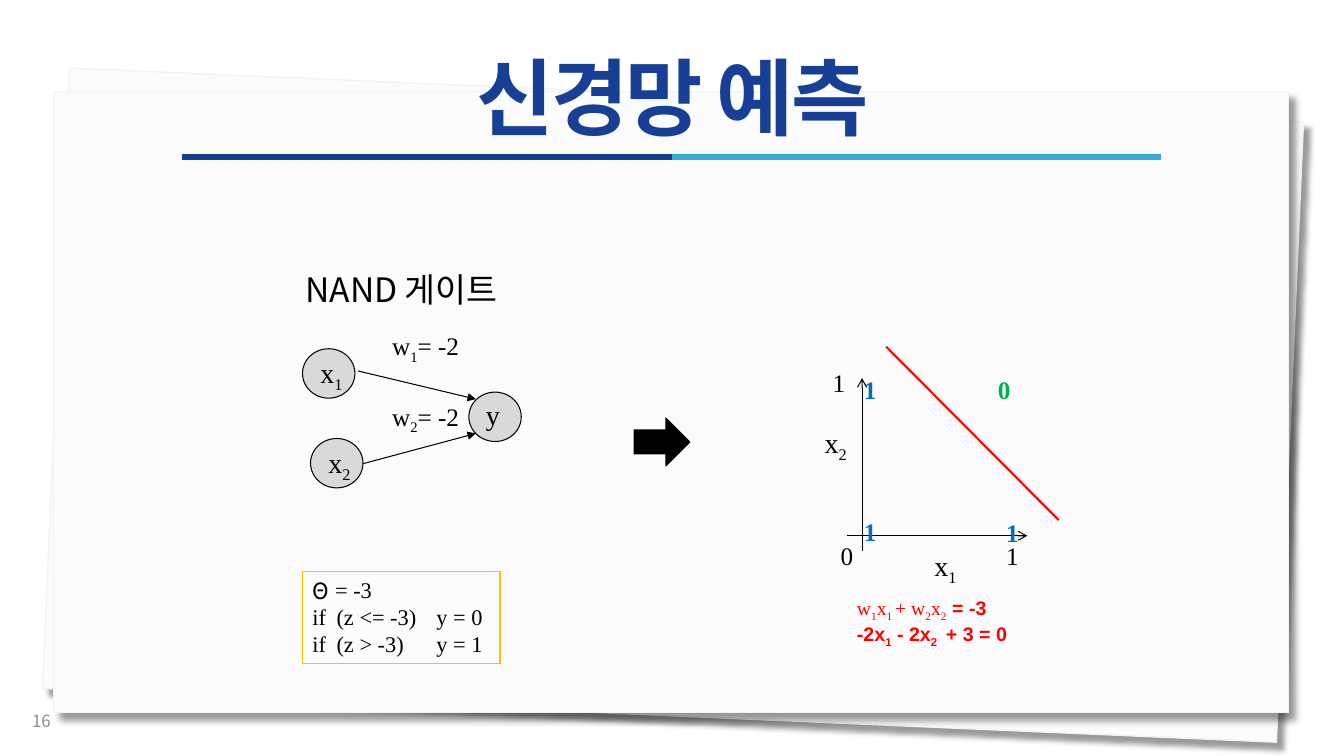
"""Build the slide on neural network prediction with a NAND gate."""
from lxml import etree
from pptx import Presentation, util as u
from pptx.dml.color import RGBColor
from pptx.enum import shapes, text
from pptx.oxml.ns import qn

rgb = RGBColor.from_string
CELL = u.Inches(0.1)
SERIF, SANS, KOREAN = "Times New Roman", "Arial", "Noto Sans CJK KR"
BLACK, RED, BLUE, GREEN = "000000", "FF0000", "0070C0", "00B050"


def write(p, words, color=BLACK, **fmt):
    """Add words to a paragraph; every second part between bars is a subscript."""
    for i, part in enumerate(words.split("|")):
        if not part:
            continue
        r = p.add_run()
        r.text = part
        for key, value in fmt.items():
            setattr(r.font, key, value)
        r.font.color.rgb = rgb(color)
        rPr = r._r.get_or_add_rPr()
        etree.SubElement(rPr, qn("a:ea"), typeface=fmt["name"])
        if i % 2:
            rPr.set("baseline", "-25000")


def add(parent, kind, at, fill=None, line=None, width=0.75, head=None):
    """Add a line, text box or preset shape at a place given in grid cells."""
    at = [round(v * CELL) for v in at]
    if kind == "line":
        sp = parent.add_connector(shapes.MSO_CONNECTOR.STRAIGHT, *at)
        etree.SubElement(sp._element.spPr, qn("a:effectLst"))
    elif kind == "text":
        sp = parent.add_textbox(*at)
        sp.text_frame.word_wrap = True
        return sp
    else:
        sp = parent.add_shape(kind, *at)
        sp.shadow.inherit = False
        if fill:
            sp.fill.solid()
            sp.fill.fore_color.rgb = rgb(fill)
        else:
            sp.fill.background()
    sp.line.color.rgb = rgb(line)
    sp.line.width = u.Pt(width)
    if head:
        etree.SubElement(sp.line._get_or_add_ln(), qn("a:tailEnd"), type=head)
    return sp


prs = Presentation()
prs.slide_width, prs.slide_height = u.Inches(13.33), u.Inches(7.5)
s = prs.slides.add_slide(prs.slide_layouts[5])
rect = shapes.MSO_SHAPE.RECTANGLE

cards = s.shapes.add_group_shape().shapes
for x, y, turn in ((5.5, 9.4, 2.5), (5.3, 9.1, 0)):
    sp = add(cards, rect, (x, y, 122.5, 61.6), "FBFBFB", "F2F2F2", 1)
    sp.rotation = turn
    effects = sp._element.spPr.find(qn("a:effectLst"))
    shadow = etree.SubElement(effects, qn("a:outerShdw"), blurRad=str(u.Pt(4)),
                              dist=str(u.Pt(7)), dir="2700000", algn="tl", rotWithShape="0")
    tint = etree.SubElement(shadow, qn("a:srgbClr"), val=BLACK)
    etree.SubElement(tint, qn("a:alpha"), val="40000")

rule = s.shapes.add_group_shape().shapes
for x1, x2, color in ((18.1, 66.7, "163E94"), (66.7, 115.2, "36AAD9")):
    add(rule, "line", (x1, 15.6, x2, 15.6), line=color, width=4.5)

title = s.shapes.title
s.shapes._spTree.append(title._element)
title.left, title.top, title.width, title.height = [
    round(v * CELL) for v in (0, 5.6, 133.4, 9)]
tf = title.text_frame
tf.auto_size = text.MSO_AUTO_SIZE.NONE
tf.vertical_anchor = text.MSO_ANCHOR.MIDDLE
p = tf.paragraphs[0]
p.alignment, p.line_spacing = text.PP_ALIGN.CENTER, 0.9
write(p, "신경망 예측", "173F95", name=KOREAN, size=u.Pt(60), bold=True)
p.runs[0]._r.get_or_add_rPr().set("spc", "-190")

tf = add(s.shapes, "text", (2.2, 69.5, 30, 4)).text_frame
tf.vertical_anchor = text.MSO_ANCHOR.MIDDLE
write(tf.paragraphs[0], "16", "8C8C8C", name=KOREAN, size=u.Pt(12))

network = s.shapes.add_group_shape().shapes
plot = s.shapes.add_group_shape().shapes
for x, y in ((30, 34.6), (46.5, 38.9), (30.8, 43.5)):
    add(network, shapes.MSO_SHAPE.OVAL, (x, y, 5.2, 4.9), "D9D9D9", BLACK)
for parent, ends, color, width, head in (
        (network, (35.5, 36.8, 47.2, 39.6), BLACK, 0.75, "triangle"),
        (network, (36, 46, 47.2, 43), BLACK, 0.75, "triangle"),
        (plot, (84, 53.15, 101.9, 53.15), BLACK, 0.75, "arrow"),
        (plot, (85.5, 54.7, 85.5, 37.5), BLACK, 0.75, "arrow"),
        (plot, (87.9, 34.4, 105, 51.6), RED, 1.5, None)):
    add(parent, "line", ends, line=color, width=width, head=head)

for parent, x, y, w, words, size, color in (
        (network, 30.8, 34.8, 4.7, "x|1|", 20, BLACK),
        (network, 31.6, 43.7, 4.7, "x|2|", 20, BLACK),
        (network, 47.2, 38.9, 4.7, "y", 20, BLACK),
        (network, 37.9, 32.3, 9.4, "w|1|= -2", 18, BLACK),
        (network, 37.9, 39.3, 9.4, "w|2|= -2", 18, BLACK),
        (plot, 91.7, 53.9, 4.7, "x|1|", 20, BLACK),
        (plot, 80.8, 41.7, 4.7, "x|2|", 20, BLACK),
        (plot, 81.6, 35.9, 4.7, "1", 18, BLACK),
        (plot, 82.4, 53.1, 4.7, "0", 18, BLACK),
        (plot, 98.8, 53.1, 4.7, "1", 18, BLACK),
        (plot, 84.7, 50.7, 4.7, "1", 18, BLUE),
        (plot, 98.8, 50.8, 4.7, "1", 18, BLUE),
        (plot, 84.7, 36.6, 4.7, "1", 18, BLUE),
        (plot, 98, 36.6, 4.7, "0", 18, GREEN)):
    tf = add(parent, "text", (x, y, w, 4)).text_frame
    write(tf.paragraphs[0], words, color, name=SERIF, size=u.Pt(size), bold=color != BLACK)

tf = add(plot, "text", (84, 58.6, 28.9, 5.7)).text_frame
p = tf.paragraphs[0]
write(p, "w|1|x|1 |+ w|2|x|2|", RED, name=SERIF, size=u.Pt(14))
strong = dict(name=SANS, size=u.Pt(14), bold=True)
write(p, " = -3", RED, **strong)
write(tf.add_paragraph(), "-2x|1| - 2x|2 | + 3 = 0", RED, **strong)

add(s.shapes, shapes.MSO_SHAPE.RIGHT_ARROW, (62.9, 41.5, 5.5, 4.7), BLACK, BLACK, 1)

tf = add(s.shapes, rect, (30, 56.7, 19.6, 9.1), line="FFC000").text_frame
tf.word_wrap = False
tf.vertical_anchor = text.MSO_ANCHOR.TOP
for i, words in enumerate((" = -3", "if\t(z <= -3)\ty = 0", "if\t(z > -3)\ty = 1")):
    p = tf.add_paragraph() if i else tf.paragraphs[0]
    p.alignment = text.PP_ALIGN.LEFT
    write(p, words, name=SERIF, size=u.Pt(16))
    pPr = p._p.get_or_add_pPr()
    if i:
        tabs = etree.SubElement(pPr, qn("a:tabLst"))
        for stop in (2.4, 12.3):
            etree.SubElement(tabs, qn("a:tab"), pos=str(round(stop * CELL)), algn="l")
    else:
        indent = round(1.7 * CELL)
        pPr.set("marL", str(indent))
        pPr.set("indent", str(-indent))
        etree.SubElement(pPr, qn("a:buFont"), typeface=KOREAN)
        etree.SubElement(pPr, qn("a:buChar"), char="Θ")

tf = add(s.shapes, "text", (29.3, 26.2, 29.7, 5)).text_frame
write(tf.paragraphs[0], "NAND 게이트", name=KOREAN, size=u.Pt(24))

prs.save("out.pptx")
